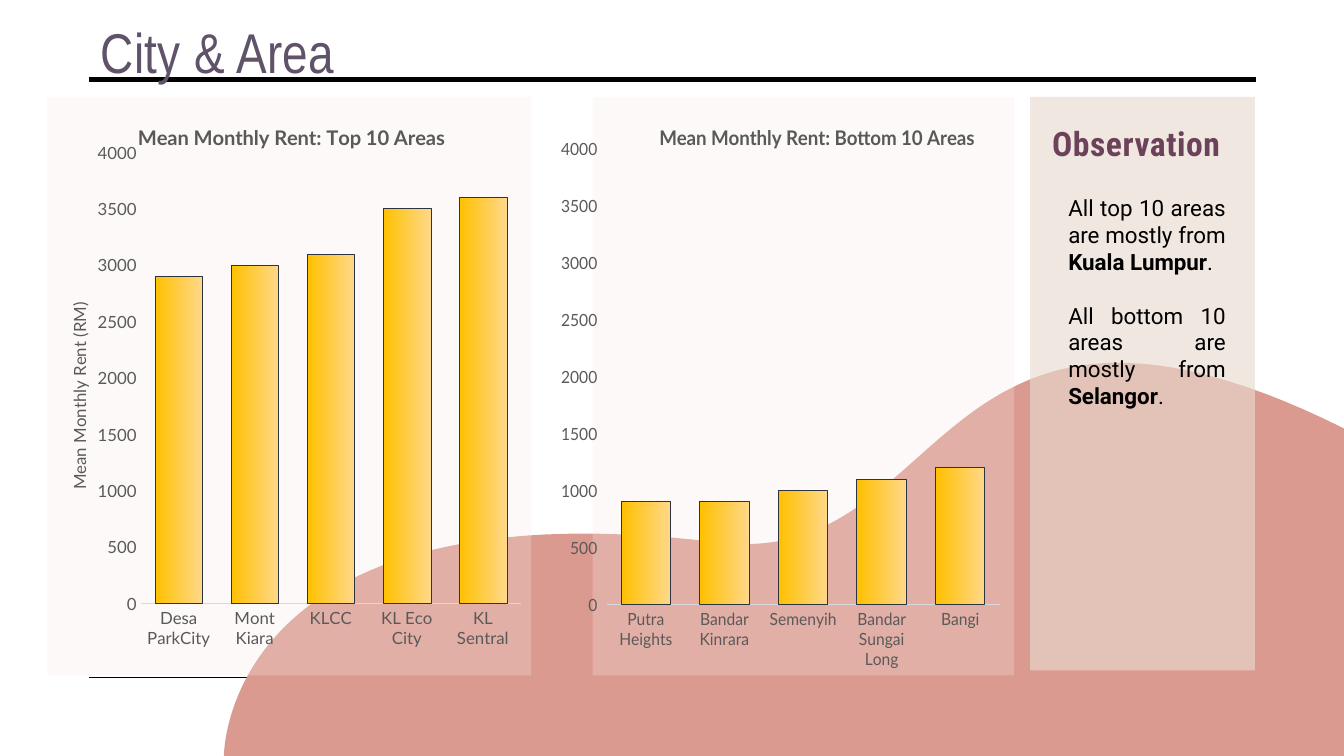
"""Build the City & Area slide comparing mean monthly rents."""
import pptx
import pptx.chart.data
import pptx.dml.color
import pptx.enum.chart
import pptx.enum.shapes
import pptx.enum.text
import pptx.oxml
import pptx.oxml.ns
import pptx.util

Pt = pptx.util.Pt
qn = pptx.oxml.ns.qn
TICK = pptx.enum.chart.XL_TICK_MARK
NAMESPACES = pptx.oxml.ns.nsdecls("c", "a")


def color(value):
    return pptx.dml.color.RGBColor.from_string(value)


def set_layout(element, index, **position):
    """Give a chart part a manual layout as fractions of the chart."""
    for layout in element.findall(qn("c:layout")):
        element.remove(layout)
    target = '<c:layoutTarget val="inner"/>' if "w" in position else ""
    modes = "".join(f'<c:{key}Mode val="edge"/>' for key in "xy")
    values = "".join(f'<c:{key} val="{value}"/>' for key, value in position.items())
    element.insert(index, pptx.oxml.parse_xml(
        f"<c:layout {NAMESPACES}><c:manualLayout>{target}{modes}{values}"
        "</c:manualLayout></c:layout>"))


presentation = pptx.Presentation()
presentation.slide_width, presentation.slide_height = Pt(960), Pt(540)
slide = presentation.slides.add_slide(presentation.slide_layouts[5])
shapes = slide.shapes

for y, width in ((56.9, 3.5), (483.8, 1)):
    rule = shapes.add_connector(
        pptx.enum.shapes.MSO_CONNECTOR.STRAIGHT, Pt(63.4), Pt(y), Pt(897.1), Pt(y))
    rule.line.color.rgb = color("000000")
    rule.line.width = Pt(width)
    rule._element.spPr.append(pptx.oxml.parse_xml(f"<a:effectLst {NAMESPACES}/>"))

wave_curves = (
    ((512.6, 387.4), (680.4, 408.2), (663.8, 158.4), (960, 306)),
    ((160, 540), (160, 538.6), (160, 344.2), (512.6, 387.4)),
)
wave_points = []
for curve in wave_curves:
    if wave_points:
        wave_points.append((Pt(960), Pt(540)))
    for step in range(61):
        t = step / 60
        weights = ((1 - t) ** 3, 3 * t * (1 - t) ** 2, 3 * t ** 2 * (1 - t), t ** 3)
        wave_points.append(tuple(
            Pt(sum(weight * point[axis] for weight, point in zip(weights, curve)))
            for axis in (0, 1)))
builder = shapes.build_freeform(*wave_points[0], scale=1.0)
builder.add_line_segments(wave_points[1:], close=True)
wave = builder.convert_to_shape()
wave.shadow.inherit = False
wave.fill.solid()
wave.fill.fore_color.rgb = color("DB9A8F")
wave.line.fill.background()

rent_charts = (
    {"title": "Mean Monthly Rent: Top 10 Areas", "left": 33.8, "width": 345.6,
     "areas": ("Desa ParkCity", "Mont Kiara", "KLCC", "KL Eco City", "KL Sentral"),
     "rents": (2900, 3000, 3100, 3500, 3600),
     "plot": {"x": 0.193, "y": 0.096, "w": 0.786, "h": 0.78}, "title_x": 0.18,
     "tick": TICK.NONE, "outline": 0.25, "axis_title": "Mean Monthly Rent (RM)"},
    {"title": "Mean Monthly Rent: Bottom 10 Areas", "left": 400.8, "width": 323.5,
     "areas": ("Putra Heights", "Bandar Kinrara", "Semenyih", "Bandar Sungai Long", "Bangi"),
     "rents": (900, 900, 1000, 1100, 1200),
     "plot": {"x": 0.033, "y": 0.089, "w": 0.933, "h": 0.789}, "title_x": 0.15,
     "tick": TICK.OUTSIDE, "outline": 0.75, "axis_title": None},
)
for rent in rent_charts:
    data = pptx.chart.data.CategoryChartData()
    data.categories = rent["areas"]
    data.add_series("Series 1", rent["rents"])
    chart = shapes.add_chart(
        pptx.enum.chart.XL_CHART_TYPE.COLUMN_CLUSTERED,
        Pt(rent["left"]), Pt(69.1), Pt(rent["width"]), Pt(413.3), data).chart
    chart.has_legend = False
    chart._chartSpace.find(qn("c:chart")).addnext(pptx.oxml.parse_xml(
        f'<c:spPr {NAMESPACES}><a:solidFill><a:srgbClr val="F8EBE9">'
        '<a:alpha val="27000"/></a:srgbClr></a:solidFill><a:ln><a:noFill/></a:ln></c:spPr>'))

    chart.has_title = True
    chart.chart_title.text_frame.text = rent["title"]
    set_layout(chart.chart_title._element, 1, x=rent["title_x"], y=0.04)
    set_layout(chart._chartSpace.find(qn("c:chart")).find(qn("c:plotArea")), 0, **rent["plot"])
    title_font = chart.chart_title.text_frame.paragraphs[0].runs[0].font
    fonts = [(chart.font, 12, False), (title_font, 14.4, True)]

    area_axis, rent_axis = chart.category_axis, chart.value_axis
    axis_formats = (
        (area_axis, {"major_tick_mark": TICK.NONE, "has_major_gridlines": False}),
        (rent_axis, {"major_tick_mark": rent["tick"], "has_major_gridlines": False,
                     "minimum_scale": 0, "maximum_scale": 4000, "major_unit": 500}),
    )
    for axis, formats in axis_formats:
        for name, value in formats.items():
            setattr(axis, name, value)
        fonts.append((axis.tick_labels.font, 12, False))
    area_axis.format.line.color.rgb = color("D9D9D9")
    area_axis.format.line.width = Pt(0.75)
    rent_axis.format.line.fill.background()
    if rent["axis_title"]:
        axis_title = rent_axis.axis_title
        axis_title.text_frame.text = rent["axis_title"]
        axis_title.text_frame._txBody.bodyPr.set("rot", "-5400000")
        axis_title.text_frame._txBody.bodyPr.set("vert", "horz")
        set_layout(axis_title._element, 1, x=0.035, y=0.35)
        fonts.append((axis_title.text_frame.paragraphs[0].runs[0].font, 12, False))
    for font, size, bold in fonts:
        font.name, font.size, font.bold = "Lato", Pt(size), bold
        font.color.rgb = color("595959")

    columns = chart.plots[0]
    columns.gap_width = 59
    columns.vary_by_categories = False
    bar_format = columns.series[0].format
    bar_format.fill.gradient()
    bar_format.fill.gradient_angle = 0
    for stop, position, shade in zip(bar_format.fill.gradient_stops, (0, 1), ("FFC000", "FFD889")):
        stop.position = position
        stop.color.rgb = color(shade)
    bar_format.line.color.rgb = color("2C3440")
    bar_format.line.width = Pt(rent["outline"])

panel = shapes.add_shape(
    pptx.enum.shapes.MSO_SHAPE.RECTANGLE, Pt(735.8), Pt(69.1), Pt(160.6), Pt(409.7))
panel.shadow.inherit = False
panel.fill.solid()
panel.fill.fore_color.rgb = color("E8DAD0")
panel._element.spPr.find(".//" + qn("a:srgbClr")).append(
    pptx.oxml.parse_xml(f'<a:alpha {NAMESPACES} val="63000"/>'))
panel.line.fill.background()

title = shapes.title
shapes._spTree.append(title._element)
heading = shapes.add_textbox(Pt(744.5), Pt(84.2), Pt(151.9), Pt(36))
notes = shapes.add_textbox(Pt(756), Pt(135.4), Pt(126.7), Pt(162.7))
title.left, title.top, title.width, title.height = Pt(62.6), Pt(15.1), Pt(692.6), Pt(42.5)
title_frame = title.text_frame
for side in ("left", "top", "right", "bottom"):
    setattr(title_frame, f"margin_{side}", Pt(9.4))
title_frame.vertical_anchor = pptx.enum.text.MSO_ANCHOR.MIDDLE
title_frame.auto_size = pptx.enum.text.MSO_AUTO_SIZE.NONE

ALIGN = pptx.enum.text.PP_ALIGN
headings = (
    (title, "City & Area", {"name": "Arial Narrow", "size": Pt(40), "bold": False}, "5F5269", 30),
    (heading, "Observation", {"name": "Roboto Condensed", "size": Pt(24), "bold": True}, "6C425A", 40),
)
for shape, text, formats, shade, spacing in headings:
    shape.text_frame.word_wrap = True
    paragraph = shape.text_frame.paragraphs[0]
    paragraph.alignment = ALIGN.LEFT
    run = paragraph.add_run()
    run.text = text
    for name, value in formats.items():
        setattr(run.font, name, value)
    run.font.color.rgb = color(shade)
    run.font._element.set("spc", str(spacing))

notes.text_frame.word_wrap = True
observations = (("All top 10 areas are mostly from ", "Kuala Lumpur"),
                ("All bottom 10 areas are mostly from ", "Selangor"))
for index, (lead, region) in enumerate(observations):
    if index:
        paragraph = notes.text_frame.add_paragraph()
        paragraph.space_before = Pt(19)
    else:
        paragraph = notes.text_frame.paragraphs[0]
    paragraph.alignment = ALIGN.JUSTIFY
    for text in (lead, region, "."):
        run = paragraph.add_run()
        run.text = text
        run.font.name, run.font.size, run.font.bold = "Roboto", Pt(16), text == region
        run.font.color.rgb = color("000000")

presentation.save("out.pptx")
